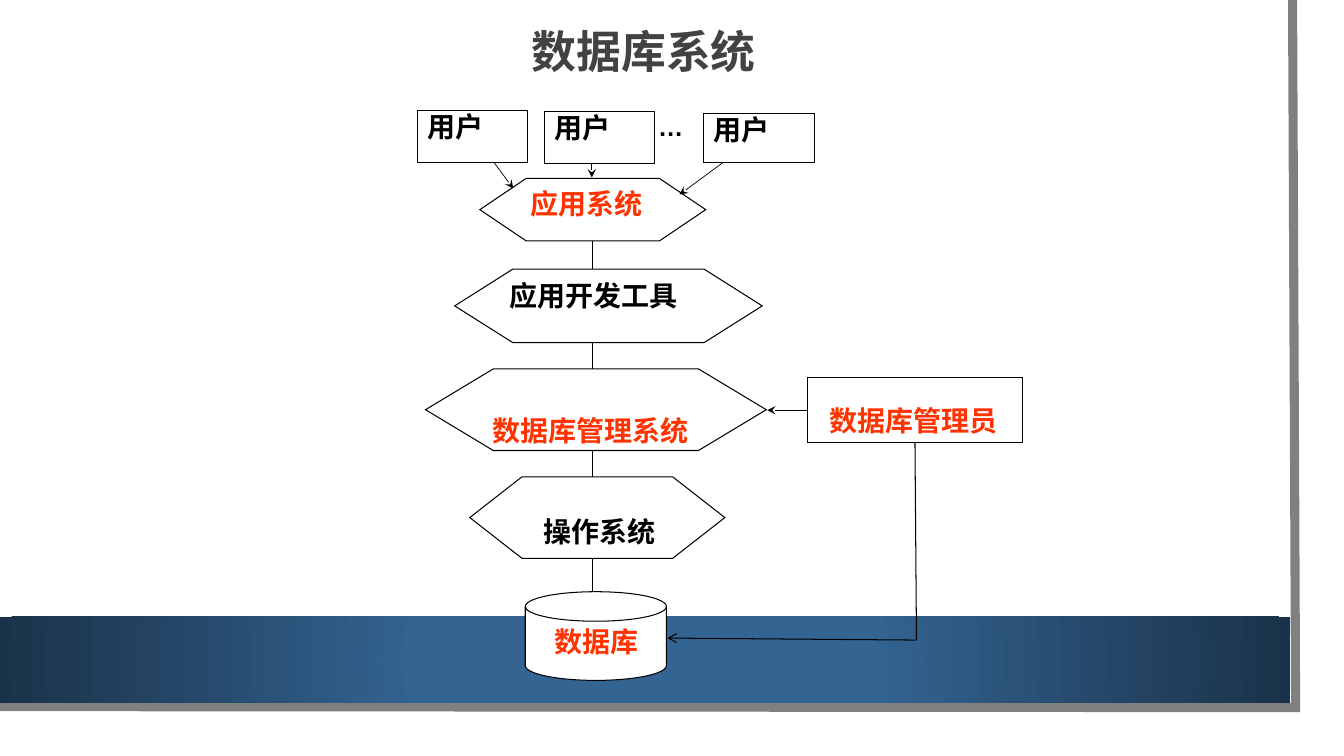
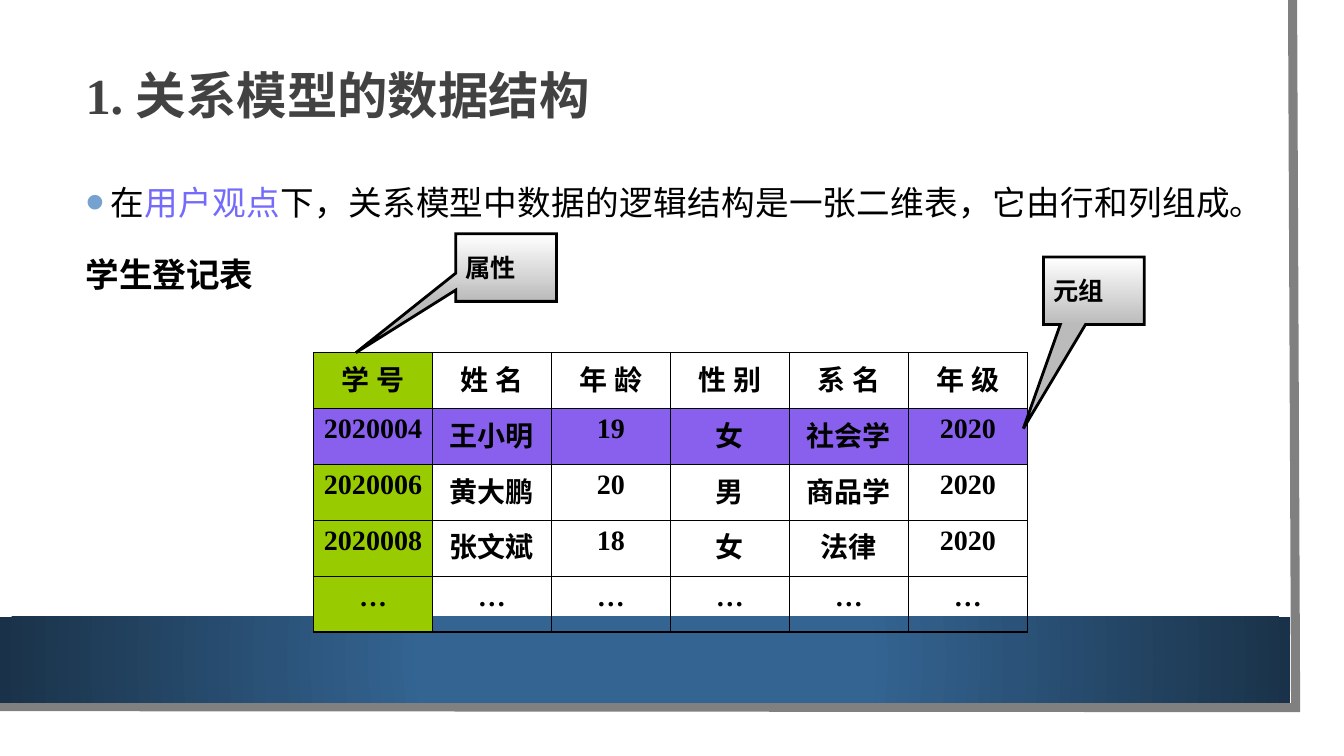
from dataclasses import dataclass

from pptx import Presentation
from pptx.dml.color import RGBColor
from pptx.enum.shapes import MSO_CONNECTOR, MSO_SHAPE
from pptx.enum.text import MSO_ANCHOR, PP_ALIGN
from pptx.oxml import parse_xml
from pptx.oxml.ns import nsdecls
from pptx.util import Inches, Pt

COLORS = {
    "white": "FFFFFF", "black": "000000", "title": "424242", "frame": "808080",
    "band": "346492", "band_edge": "1A3249", "red": "FF3300", "violet": "746AFC",
    "bullet": "75A2CE", "attribute": "99CC00", "tuple": "8960EE", "callout": "BBBBBB",
}
SIDES = {"top": 0, "left": 1, "bottom": 2, "right": 3}

FRAME_POINTS = [(12.82, 0), (12.85, 7.02), (-0.03, 7.01)]
FROM_CENTER = '<a:path path="circle"><a:fillToRect l="50000" t="50000" r="50000" b="50000"/></a:path>'
DOWNWARD = '<a:lin ang="5400000" scaled="1"/>'


@dataclass
class Node:
    text: str
    place: tuple
    kind: int = MSO_SHAPE.RECTANGLE
    ink: str = "black"
    slant: float = 0
    spacing: float = 0.8
    left: float = 0.1
    top: float = 0.05


LAYERS = [
    Node("应用系统", (4.76, 1.77, 2.24, 0.62), MSO_SHAPE.HEXAGON, "red", slant=0.74, left=0.16),
    Node("应用开发工具", (4.51, 2.67, 3.05, 0.73), MSO_SHAPE.HEXAGON, slant=0.79),
    Node("数据库管理系统", (4.22, 3.66, 3.38, 0.81), MSO_SHAPE.HEXAGON, "red", slant=0.83, left=0.16, top=0.39),
    Node("操作系统", (4.66, 4.73, 2.53, 0.81), MSO_SHAPE.HEXAGON, slant=0.64, left=0.35, top=0.32),
    Node("数据库", (5.21, 5.87, 1.4, 0.88), MSO_SHAPE.FLOWCHART_MAGNETIC_DISK, "red", spacing=0.96, left=0.29),
]
LAYER_AXIS = 5.88
ADMINISTRATOR = Node("数据库管理员", (8.01, 3.75, 2.13, 0.64), ink="red", left=0.22, top=0.32)
MANAGER_TIP = (7.61, 4.07)
DATABASE_TIP = (6.62, 6.33)
CORNER = (9.09, 6.35)
USERS = [
    Node("用户", (4.14, 1.1, 1.09, 0.51)),
    Node("用户", (5.4, 1.11, 1.09, 0.51)),
    Node("用户", (6.98, 1.13, 1.1, 0.48)),
]
USER_ARROWS = [((4.84, 1.53), (5.09, 1.87)), ((5.87, 1.48), (5.87, 1.76)), ((7.31, 1.51), (6.74, 1.93))]

STATEMENT = [
    ("在", "black"), ("用户观点", "violet"),
    ("下，关系模型中数据的逻辑结构是一张二维表，它由行和列组成。", "black"),
]
STUDENTS = [
    ["学 号", "姓 名", "年 龄", "性 别", "系 名", "年 级"],
    ["2020004", "王小明", "19", "女", "社会学", "2020"],
    ["2020006", "黄大鹏", "20", "男", "商品学", "2020"],
    ["2020008", "张文斌", "18", "女", "法律", "2020"],
    ["…"] * 6,
]
TABLE_PLACE = (3.11, 3.5, 7.08, 2.77)
TUPLE_ROW = 1
ATTRIBUTE_COLUMN = 0
CALLOUTS = [
    ("属性", (4.52, 2.32, 1, 0.67), (-1.49, 1.26)),
    ("元组", (10.35, 2.55, 1, 0.67), (-0.7, 2.04)),
]


def inches(values):
    return [Inches(value) for value in values]


def color(name):
    return RGBColor.from_string(COLORS[name])


def element(tag, attributes="", content=""):
    return parse_xml(f'<a:{tag} {nsdecls("a")} {attributes}>{content}</a:{tag}>')


def color_tag(name):
    return f'<a:srgbClr val="{COLORS[name]}"/>'


def paint(shape, name):
    shape.fill.solid()
    shape.fill.fore_color.rgb = color(name)


def paint_gradient(shape, stops, direction):
    marks = "".join(f'<a:gs pos="{percent * 1000}">{color_tag(name)}</a:gs>' for percent, name in stops)
    solid = shape.element.spPr.find("{*}solidFill")
    solid.getparent().replace(solid, element("gradFill", "", f"<a:gsLst>{marks}</a:gsLst>{direction}"))


def outline(shape, name, width):
    shape.line.color.rgb = color(name)
    shape.line.width = Pt(width)
    shape.line._get_or_add_ln().append(element("miter", 'lim="800000"'))


def add_bullet(para):
    properties = para._p.get_or_add_pPr()
    properties.set("marL", str(Inches(0.25)))
    properties.set("indent", str(-Inches(0.25)))
    properties.extend([
        element("buClr", "", color_tag("bullet")),
        element("buSzPct", 'val="160000"'),
        element("buFont", 'typeface="Arial"'),
        element("buChar", 'char="•"'),
    ])


def write(frame, text, size=20, font="Arial", ink="black", bold=True,
          align=PP_ALIGN.LEFT, spacing=None, bullet=False):
    para = frame.paragraphs[0]
    if bullet:
        add_bullet(para)
    para.alignment = align
    para.line_spacing = spacing
    for words, shade in [(text, ink)] if isinstance(text, str) else text:
        span = para.add_run()
        span.text = words
        span.font.size = Pt(size)
        span.font.name = font
        span.font.bold = bold
        span.font.color.rgb = color(shade)


def set_frame(box, anchor=MSO_ANCHOR.MIDDLE, left=0.1, top=0.05):
    frame = box.text_frame
    frame.word_wrap = True
    frame.vertical_anchor = anchor
    frame.margin_left, frame.margin_top = Inches(left), Inches(top)
    return frame


def add_text(page, place, text, **style):
    write(set_frame(page.shapes.add_textbox(*inches(place))), text, **style)


def add_box(page, kind, place, line=None, width=0.75):
    box = page.shapes.add_shape(kind, *inches(place))
    box.shadow.inherit = False
    paint(box, "white")
    if line:
        outline(box, line, width)
    else:
        box.line.fill.background()
    return box


def add_node(page, node):
    box = add_box(page, node.kind, node.place, line="black")
    if node.slant:
        box.adjustments[0] = node.slant
    frame = set_frame(box, MSO_ANCHOR.TOP, node.left, node.top)
    write(frame, node.text, ink=node.ink, spacing=node.spacing)
    return box


def add_line(page, start, end, width=0.5, head=None):
    line = page.shapes.add_connector(MSO_CONNECTOR.STRAIGHT, *inches(start + end))
    outline(line, "black", width)
    if head:
        line.line._get_or_add_ln().append(element("tailEnd", f'type="{head}"'))
    line.element.spPr.append(element("effectLst"))
    return line


def add_frame_edge(page):
    start, *corners = [tuple(inches(point)) for point in FRAME_POINTS]
    builder = page.shapes.build_freeform(*start)
    builder.add_line_segments(corners, close=False)
    edge = builder.convert_to_shape()
    edge.shadow.inherit = False
    edge.fill.background()
    outline(edge, "frame", 6.5)


def move_frame_to_layout(page, layout):
    add_box(page, MSO_SHAPE.RECTANGLE, (0, 0, 13.1, 7.27))
    add_frame_edge(page)
    band = add_box(page, MSO_SHAPE.RECTANGLE, (0, 6.12, 12.8, 0.85))
    paint_gradient(band, [(34, "band"), (100, "band_edge")], FROM_CENTER)
    for shape in list(page.shapes):
        layout.shapes.element.append(shape.element)


def add_title(page, place, text, **style):
    add_text(page, place, text, ink="title", **style)


def link_layers(page):
    for upper, lower in zip(LAYERS, LAYERS[1:]):
        upper_top, upper_height = upper.place[1], upper.place[3]
        lower_top = lower.place[1]
        add_line(page, (LAYER_AXIS, upper_top + upper_height), (LAYER_AXIS, lower_top))


def link_administrator(page, administrator):
    manages = add_line(page, MANAGER_TIP, MANAGER_TIP, head="stealth")
    manages.begin_connect(administrator, SIDES["left"])
    descends = add_line(page, CORNER, CORNER, width=0.75)
    descends.begin_connect(administrator, SIDES["bottom"])
    add_line(page, CORNER, DATABASE_TIP, width=0.75, head="arrow")


def build_system(page):
    add_title(page, (4.14, 0.18, 4.49, 0.64), "数据库系统", size=32, align=PP_ALIGN.CENTER)
    for layer in LAYERS:
        add_node(page, layer)
    link_layers(page)
    link_administrator(page, add_node(page, ADMINISTRATOR))
    for start, end in USER_ARROWS:
        add_line(page, start, end, head="stealth")
    for user in USERS:
        add_node(page, user)
    add_text(page, (6.43, 1.05, 0.63, 0.4), "…", size=18)


def cell_fill(row, column):
    if row == TUPLE_ROW:
        return "tuple"
    return "attribute" if column == ATTRIBUTE_COLUMN else None


def format_cell(cell, fill):
    cell.margin_left = cell.margin_right = Inches(0.05)
    for side in ("lnL", "lnR", "lnT", "lnB"):
        border = element(side, f'w="{Pt(1)}"', f'<a:solidFill>{color_tag("black")}</a:solidFill>')
        cell._tc.get_or_add_tcPr().append(border)
    if fill:
        paint(cell, fill)
    else:
        cell.fill.background()


def add_students(page):
    table = page.shapes.add_table(len(STUDENTS), len(STUDENTS[0]), *inches(TABLE_PLACE)).table
    table.first_row = table.horz_banding = False
    for row, values in enumerate(STUDENTS):
        for column, text in enumerate(values):
            cell = table.cell(row, column)
            format_cell(cell, cell_fill(row, column))
            write(cell.text_frame, text, font="Times New Roman", align=PP_ALIGN.CENTER)


def add_callout(page, text, place, tip):
    box = add_box(page, MSO_SHAPE.RECTANGULAR_CALLOUT, place, line="black", width=2)
    box.adjustments[0], box.adjustments[1] = tip
    paint_gradient(box, [(0, "white"), (100, "callout")], DOWNWARD)
    write(set_frame(box), text, size=18)


def build_relation(page):
    add_title(page, (0.75, 0.43, 11.37, 1.09), "1. 关系模型的数据结构",
              size=36, font="Times New Roman", spacing=0.9)
    add_text(page, (0.75, 1.37, 11.55, 1.1), STATEMENT, size=24, font="Arial Narrow", bold=False,
             align=PP_ALIGN.JUSTIFY, spacing=1.4, bullet=True)
    add_text(page, (0.75, 2.46, 2.2, 0.51), "学生登记表", size=24)
    add_students(page)
    for callout in CALLOUTS:
        add_callout(page, *callout)


def main():
    deck = Presentation()
    deck.slide_width, deck.slide_height = inches((13.33, 7.5))
    blank = deck.slide_layouts[6]
    system_page, relation_page = [deck.slides.add_slide(blank) for _ in range(2)]
    move_frame_to_layout(system_page, blank)
    build_system(system_page)
    build_relation(relation_page)
    deck.save("out.pptx")


if __name__ == "__main__":
    main()
